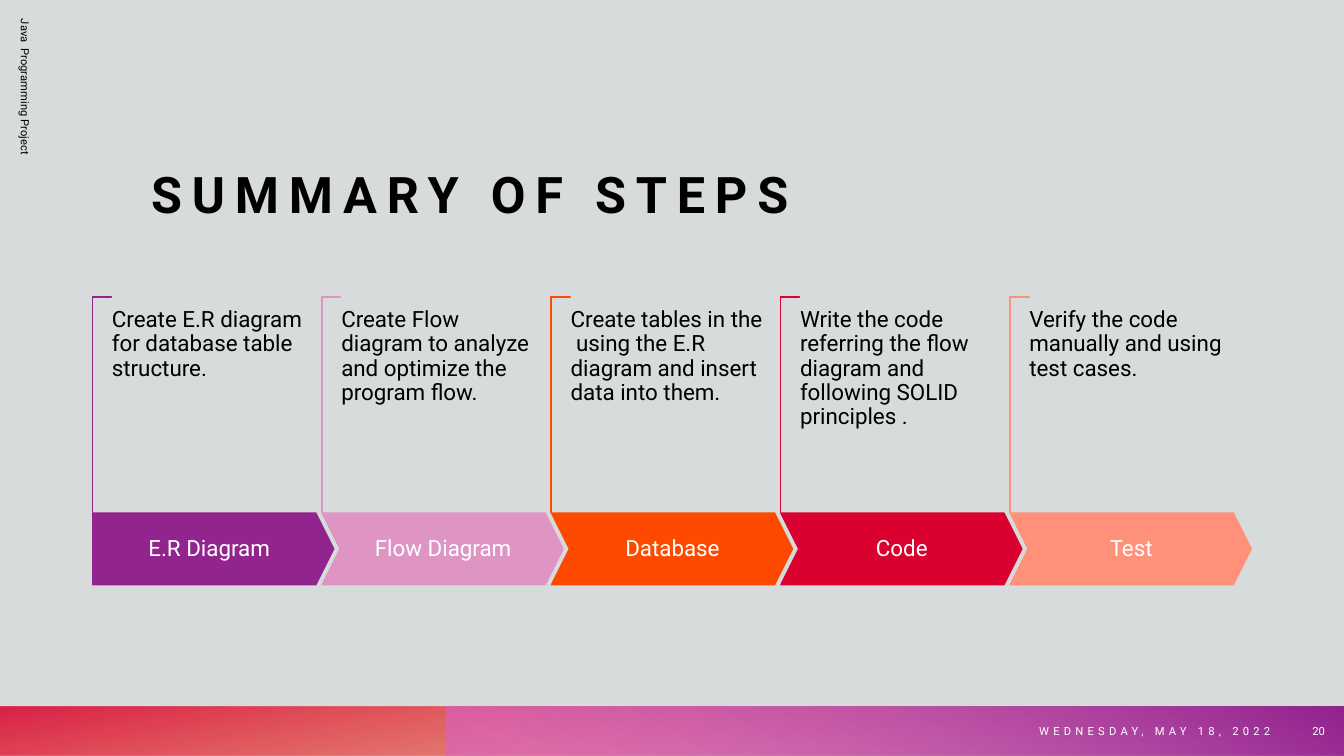
from dataclasses import dataclass

from pptx import Presentation
from pptx.dml.color import RGBColor
from pptx.enum import shapes, text
from pptx.oxml import ns
from pptx.util import Inches, Pt

FONT = "Roboto"
BLACK = RGBColor(0x00, 0x00, 0x00)
WHITE = RGBColor(0xFF, 0xFF, 0xFF)
GREY = RGBColor(0xD8, 0xDB, 0xDB)
PURPLE = RGBColor(0x92, 0x24, 0x8E)
PINK = RGBColor(0xDE, 0x95, 0xC4)
ORANGE = RGBColor(0xFE, 0x4A, 0x00)
RED = RGBColor(0xDA, 0x00, 0x2F)
SALMON = RGBColor(0xFF, 0x90, 0x7A)
ORCHID = RGBColor(0xD8, 0x61, 0xD4)

STEP_LEFT = 0.92
STEP_PITCH = 2.275
ARROW_TOP, ARROW_WIDTH, ARROW_HEIGHT = 5.09, 2.39, 0.71
FOOTER_TOP, FOOTER_HEIGHT = 7.01, 0.49


@dataclass
class Step:
    name: str
    detail: str
    color: RGBColor


@dataclass
class Stop:
    position: float
    color: RGBColor
    opacity: int


STEPS = [
    Step("E.R Diagram", "Create E.R diagram for database table structure.", PURPLE),
    Step("Flow Diagram", "Create Flow diagram to analyze and optimize the program flow.", PINK),
    Step("Database", "Create tables in the  using the E.R diagram and insert data into them.", ORANGE),
    Step("Code", "Write the code referring the flow diagram and following SOLID principles .", RED),
    Step("Test", "Verify the code manually and using test cases.", SALMON),
]


def place(box, left: float, top: float, width: float, height: float) -> None:
    box.left, box.top = Inches(left), Inches(top)
    box.width, box.height = Inches(width), Inches(height)


def write(box, words: str, *, size: float = 16, color: RGBColor = BLACK, bold: bool = False,
          align=text.PP_ALIGN.LEFT, anchor=text.MSO_ANCHOR.TOP, insets=(0.1, 0.05),
          line_spacing: float = 1.0, tracking: float = 0) -> None:
    """Fill a box with one formatted paragraph; insets are (sides, top and bottom)."""
    frame = box.text_frame
    frame.word_wrap = True
    frame.auto_size = text.MSO_AUTO_SIZE.NONE
    frame.vertical_anchor = anchor
    frame.margin_left = frame.margin_right = Inches(insets[0])
    frame.margin_top = frame.margin_bottom = Inches(insets[1])
    para = frame.paragraphs[0]
    para.alignment = align
    para.line_spacing = line_spacing
    span = para.add_run()
    span.text = words
    span.font.name, span.font.size, span.font.bold = FONT, Pt(size), bold
    span.font.color.rgb = color
    if tracking:
        span.font._element.set("spc", str(int(tracking * 100)))


def add_text(page, words: str, left: float, top: float, width: float, height: float,
             **formatting):
    box = page.shapes.add_textbox(0, 0, 0, 0)
    place(box, left, top, width, height)
    write(box, words, **formatting)
    return box


def add_block(page, kind, left: float, top: float, width: float, height: float,
              fill: RGBColor, line: RGBColor, adjustments: list[float]):
    block = page.shapes.add_shape(kind, 0, 0, 0, 0)
    place(block, left, top, width, height)
    block.shadow.inherit = False
    block.fill.solid()
    block.fill.fore_color.rgb = fill
    block.line.color.rgb = line
    block.line.width = Pt(1)
    for index, value in enumerate(adjustments):
        block.adjustments[index] = value
    return block


def add_gradient_bar(page, left: float, width: float, angle: float, stops: list[Stop],
                     rotation: float = 0) -> None:
    """Add a mirrored footer bar; the angle runs clockwise."""
    bar = page.shapes.add_shape(shapes.MSO_SHAPE.RECTANGLE, 0, 0, 0, 0)
    place(bar, left, FOOTER_TOP, width, FOOTER_HEIGHT)
    bar.rotation = rotation
    bar._element.spPr.xfrm.set("flipH", "1")
    bar.shadow.inherit = False
    bar.line.fill.background()
    bar.fill.gradient()
    bar.fill.gradient_angle = 360 - angle
    for target, stop in zip(bar.fill.gradient_stops, stops):
        target.position = stop.position
        target.color.rgb = stop.color
    for node, stop in zip(bar._element.spPr.iter(ns.qn("a:srgbClr")), stops):
        alpha = node.makeelement(ns.qn("a:alpha"), {"val": str(stop.opacity * 1000)})
        node.append(alpha)


def add_step(page, index: int, step: Step) -> None:
    left = STEP_LEFT + index * STEP_PITCH
    first = index == 0
    bracket = add_block(page, shapes.MSO_SHAPE.CORNER, left - 0.98, 3.92, 2.14, 0.19,
                        WHITE, step.color, [0.01, 0.01])
    bracket.rotation = 90
    kind = shapes.MSO_SHAPE.PENTAGON if first else shapes.MSO_SHAPE.CHEVRON
    add_block(page, kind, left, ARROW_TOP, ARROW_WIDTH, ARROW_HEIGHT,
              step.color, step.color, [0.25])
    label_left, label_width = (left, 2.31) if first else (left + 0.18, 2.04)
    add_text(page, step.name, label_left, ARROW_TOP, label_width, ARROW_HEIGHT,
             color=WHITE, align=text.PP_ALIGN.CENTER, anchor=text.MSO_ANCHOR.MIDDLE,
             insets=(0.11, 0.22), line_spacing=0.9)
    add_text(page, step.detail, left + 0.19, 3.06, 1.94, 1.47,
             insets=(0, 0), line_spacing=0.9)


def main() -> None:
    deck = Presentation()
    deck.slide_width, deck.slide_height = Inches(13.33), Inches(7.5)
    page = deck.slides.add_slide(deck.slide_layouts.get_by_name("Title Only"))
    page.background.fill.solid()
    page.background.fill.fore_color.rgb = GREY

    add_gradient_bar(page, 0, 13.33, 100, [Stop(0.14, ORANGE, 28), Stop(1, RED, 85)],
                     rotation=180)
    add_gradient_bar(page, 4.42, 8.91, 240, [Stop(0.09, ORCHID, 55), Stop(0.99, PURPLE, 100)])

    title = page.shapes.title
    place(title, 1.5, 0.87, 11.2, 1.35)
    write(title, "SUMMARY OF STEPS", size=36, bold=True, tracking=7,
          anchor=text.MSO_ANCHOR.BOTTOM, insets=(0, 0))
    project = add_text(page, "Java  Programming Project", -2, 2.09, 4.5, 0.5,
                       size=8, anchor=text.MSO_ANCHOR.MIDDLE)
    project.rotation = 90

    for index, step in enumerate(STEPS):
        add_step(page, index, step)

    for words, left, width, tracking in [("WEDNESDAY, MAY 18, 2022", 8.65, 4.05, 3),
                                         ("20", 12.76, 0.48, 0)]:
        add_text(page, words, left, FOOTER_TOP, width, FOOTER_HEIGHT, size=8, color=WHITE,
                 align=text.PP_ALIGN.RIGHT, anchor=text.MSO_ANCHOR.MIDDLE, tracking=tracking)

    deck.save("out.pptx")


if __name__ == "__main__":
    main()
